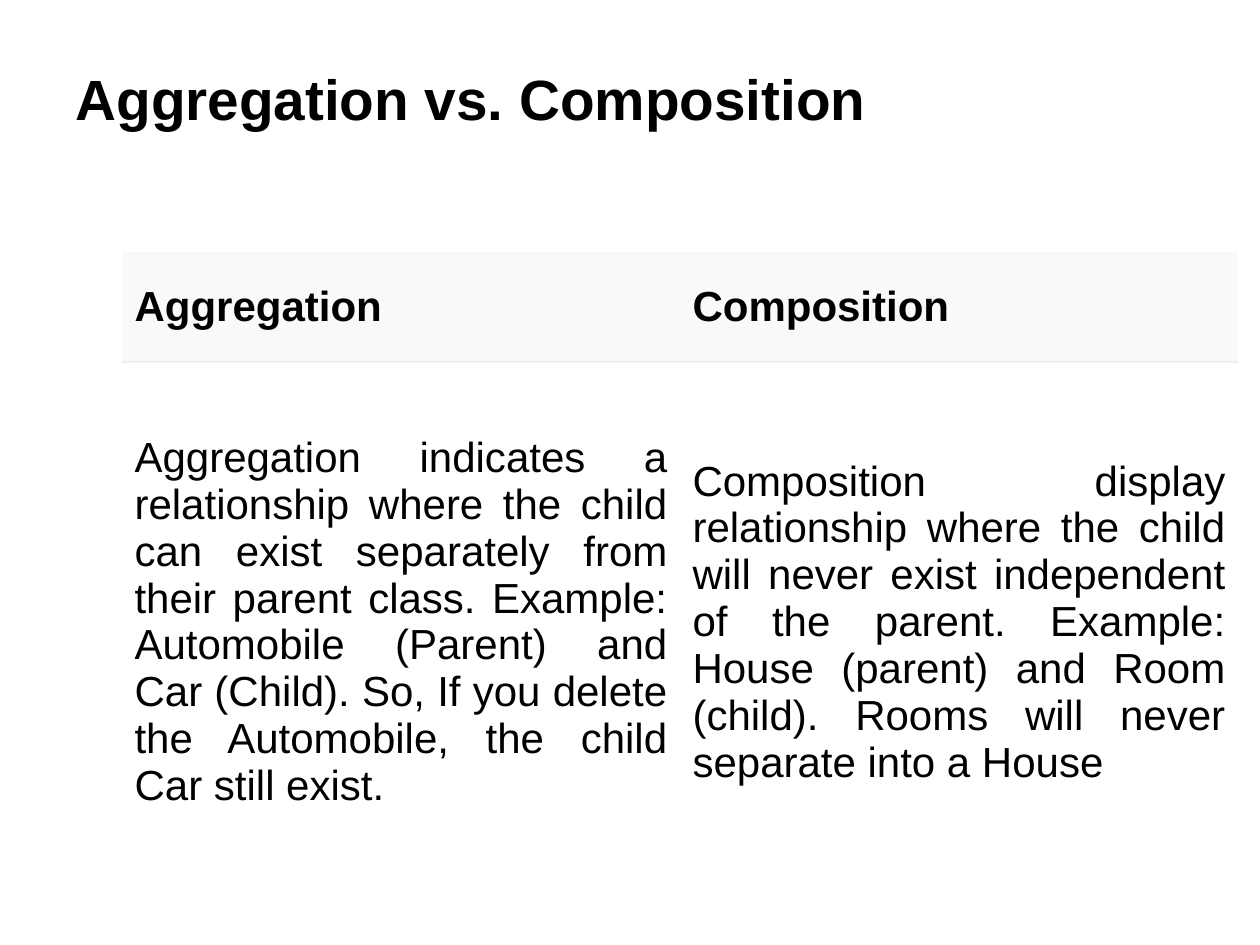
from lxml import etree
from pptx import Presentation
from pptx.dml.color import RGBColor
from pptx.enum.text import MSO_ANCHOR, PP_ALIGN
from pptx.oxml.ns import qn
from pptx.util import Emu, Pt

TOP, MIDDLE = MSO_ANCHOR.TOP, MSO_ANCHOR.MIDDLE
LEFT, JUSTIFY = PP_ALIGN.LEFT, PP_ALIGN.JUSTIFY
BLACK = RGBColor(0x00, 0x00, 0x00)
WHITE = RGBColor(0xFF, 0xFF, 0xFF)
HEADER_FILL = RGBColor(0xF9, 0xF9, 0xF9)
RULE = RGBColor(0xEE, 0xEE, 0xEE)
FONT = "Arial"
COLUMN_W = 558
ROW_HEIGHTS = (110, 520)
ROWS = (
    ("Aggregation", "Composition"),
    (
        "Aggregation indicates a relationship where the child can exist "
        "separately from their parent class. Example: Automobile (Parent) and "
        "Car (Child). So, If you delete the Automobile, the child Car still exist.",
        "Composition display relationship where the child will never exist "
        "independent of the parent. Example: House (parent) and Room (child). "
        "Rooms will never separate into a House",
    ),
)


def px(n):
    return Emu(round(n * 914400 / 126))


def set_text(tf, text, size, bold, align):
    tf.text = text
    p = tf.paragraphs[0]
    p.alignment = align
    font = p.runs[0].font
    font.name, font.size, font.bold = FONT, Pt(size), bold
    font.color.rgb = BLACK


def add_title(s, text):
    sp = s.shapes.title
    sp.left, sp.top, sp.width, sp.height = px(63), px(38), px(1134), px(183)
    tf = sp.text_frame
    tf.word_wrap = True
    tf.vertical_anchor = TOP
    tf.margin_top = px(26)
    set_text(tf, text, 32.4, True, LEFT)


def set_borders(cell, ruled_side):
    tc_pr = cell._tc.get_or_add_tcPr()
    for i, side in enumerate(("lnL", "lnR", "lnT", "lnB")):
        ln = etree.Element(qn("a:" + side), w=str(Pt(0.75)))
        if side == ruled_side:
            fill = etree.SubElement(ln, qn("a:solidFill"))
            etree.SubElement(fill, qn("a:srgbClr"), val=str(RULE))
        else:
            etree.SubElement(ln, qn("a:noFill"))
        tc_pr.insert(i, ln)


def format_cell(cell, text, is_header):
    set_text(cell.text_frame, text, 24, is_header, LEFT if is_header else JUSTIFY)
    cell.vertical_anchor = MIDDLE
    cell.fill.solid()
    cell.fill.fore_color.rgb = HEADER_FILL if is_header else WHITE
    set_borders(cell, "lnB" if is_header else "lnT")


def add_comparison(s):
    table = s.shapes.add_table(
        len(ROWS), 2, px(122), px(252), px(2 * COLUMN_W), px(sum(ROW_HEIGHTS))
    ).table
    table.horz_banding = False
    for column in table.columns:
        column.width = px(COLUMN_W)
    for r, texts in enumerate(ROWS):
        table.rows[r].height = px(ROW_HEIGHTS[r])
        for c, text in enumerate(texts):
            format_cell(table.cell(r, c), text, r == 0)


def main():
    prs = Presentation()
    prs.slide_width, prs.slide_height = px(1260), px(945)
    s = prs.slides.add_slide(prs.slide_layouts[5])
    s.background.fill.solid()
    s.background.fill.fore_color.rgb = WHITE
    add_title(s, "Aggregation vs. Composition")
    add_comparison(s)
    prs.save("out.pptx")


if __name__ == "__main__":
    main()
